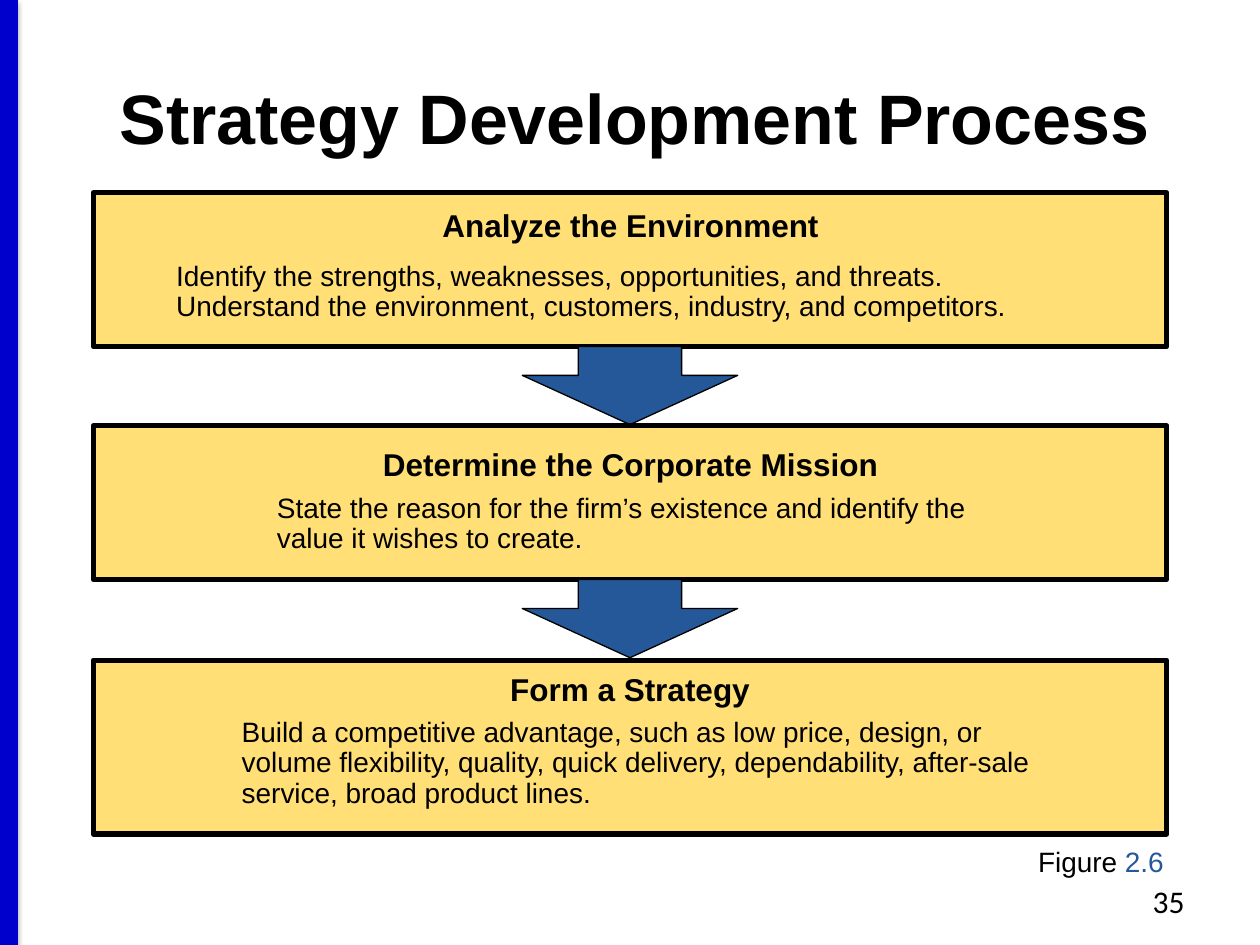
from lxml import etree
from pptx import Presentation
from pptx import util as u
from pptx.dml.color import RGBColor
from pptx.enum import shapes, text
from pptx.oxml.ns import qn

COLORS = {"ink": "000000", "bar": "0000CC", "box": "FFDF76", "arrow": "255898"}
TITLE = "Strategy Development Process"
# heading, body, box (top, height), text (left, top, width, height), body indent, body space before
STEPS = [
    ("Analyze the Environment",
     "Identify the strengths, weaknesses, opportunities, and threats. "
     "Understand the environment, customers, industry, and competitors.",
     (1.53, 1.22), (1.3, 1.62, 7.41, 1.01), 0, 4),
    ("Determine the Corporate Mission",
     "State the reason for the firm’s existence and identify the value it wishes to create.",
     (3.38, 1.22), (1.72, 3.52, 6.57, 1.08), 0.38, 0),
    ("Form a Strategy",
     "Build a competitive advantage, such as low price, design, or volume flexibility, "
     "quality, quick delivery, dependability, after-sale service, broad product lines.",
     (5.24, 1.38), (1.44, 5.3, 7.12, 1.3), 0.38, 0),
]
CAPTION = [("Figure ", "ink"), ("2.6", "arrow")]
PAGE_NUMBER = "35"
BOX_LEFT, BOX_WIDTH = 0.74, 8.52
ARROW_WIDTH, ARROW_HEIGHT = 1.71, 0.62
CENTER = BOX_LEFT + BOX_WIDTH / 2

prs = Presentation()
prs.slide_width, prs.slide_height = u.Inches(10), u.Inches(7.5)
slide = prs.slides.add_slide(prs.slide_layouts[5])


def rgb(name):
    return RGBColor.from_string(COLORS[name])


def inches(*lengths):
    return [u.Inches(length) for length in lengths]


def add_run(paragraph, words, size, color="ink", bold=False, font="Arial"):
    run = paragraph.add_run()
    run.text = words
    run.font.size, run.font.bold, run.font.name = u.Pt(size), bold, font
    run.font.color.rgb = rgb(color)


def add_filled(preset, place, fill, line_width):
    shape = slide.shapes.add_shape(preset, *inches(*place))
    shape.shadow.inherit = False
    shape.fill.solid()
    shape.fill.fore_color.rgb = rgb(fill)
    shape.line.color.rgb = rgb("ink")
    shape.line.width = u.Pt(line_width)
    return shape


def add_text_frame(place, wrap=True):
    frame = slide.shapes.add_textbox(*inches(*place)).text_frame
    frame.word_wrap = wrap
    return frame


def add_side_bar():
    bar = slide.shapes.add_connector(shapes.MSO_CONNECTOR.STRAIGHT, *inches(0.07, 0, 0.07, 7.5))
    bar.line.color.rgb = rgb("bar")
    bar.line.width = u.Pt(10)
    effects = etree.SubElement(bar._element.spPr, qn("a:effectLst"))
    shadow = etree.SubElement(effects, qn("a:outerShdw"), blurRad=str(u.Pt(3.1)),
                              dist=str(u.Pt(1.6)), dir="5400000", rotWithShape="0")
    tint = etree.SubElement(shadow, qn("a:srgbClr"), val=COLORS["ink"])
    etree.SubElement(tint, qn("a:alpha"), val="38000")


def add_step(heading, body, box, words_place, indent, space_before):
    top, height = box
    add_filled(shapes.MSO_SHAPE.RECTANGLE, (BOX_LEFT, top, BOX_WIDTH, height), "box", 3)
    frame = add_text_frame(words_place)
    head, detail = frame.paragraphs[0], frame.add_paragraph()
    for paragraph in (head, detail):
        paragraph.line_spacing, paragraph.space_after = 0.9, u.Pt(6)
    head.alignment = text.PP_ALIGN.CENTER
    detail.space_before = u.Pt(space_before)
    detail._p.get_or_add_pPr().set("marL", str(u.Inches(indent)))
    add_run(head, heading, 18, bold=True)
    add_run(detail, body, 16)


def add_arrow_below(box):
    place = (CENTER - ARROW_WIDTH / 2, sum(box), ARROW_WIDTH, ARROW_HEIGHT)
    arrow = add_filled(shapes.MSO_SHAPE.DOWN_ARROW, place, "arrow", 0.75)
    arrow.adjustments[0], arrow.adjustments[1] = 0.48, 0.63


add_side_bar()

title = slide.shapes.title
title.left, title.top, title.width, title.height = inches(0.07, 0.3, 9.93, 1.25)
title.text_frame.vertical_anchor = text.MSO_ANCHOR.MIDDLE
title.text_frame.paragraphs[0].alignment = text.PP_ALIGN.CENTER
add_run(title.text_frame.paragraphs[0], TITLE, 40, bold=True)

for number, step in enumerate(STEPS, 1):
    add_step(*step)
    if number < len(STEPS):
        add_arrow_below(step[2])

caption = add_text_frame((8.14, 6.65, 1.25, 0.37), wrap=False).paragraphs[0]
for words, color in CAPTION:
    add_run(caption, words, 16, color)

page = add_text_frame((7.17, 6.95, 2.33, 0.4)).paragraphs[0]
page.alignment = text.PP_ALIGN.RIGHT
add_run(page, PAGE_NUMBER, 18, font="Calibri")

prs.save("out.pptx")
